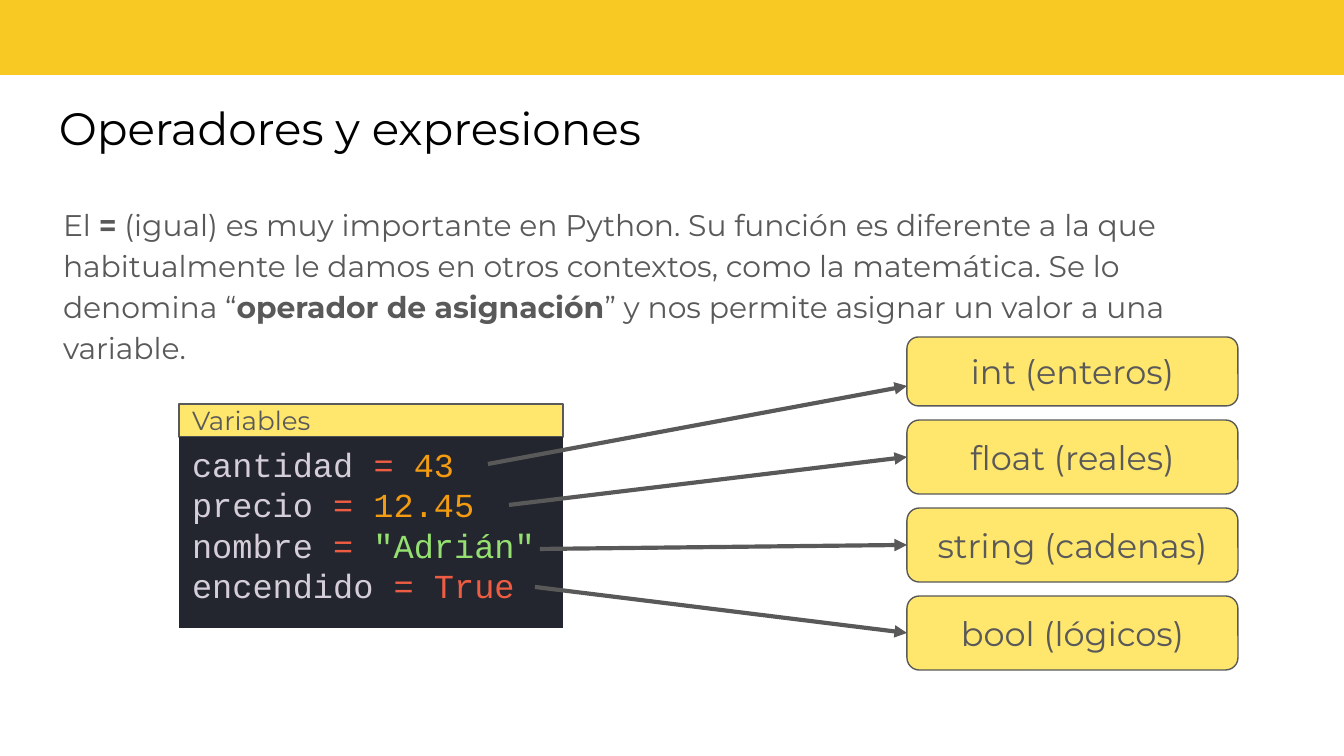
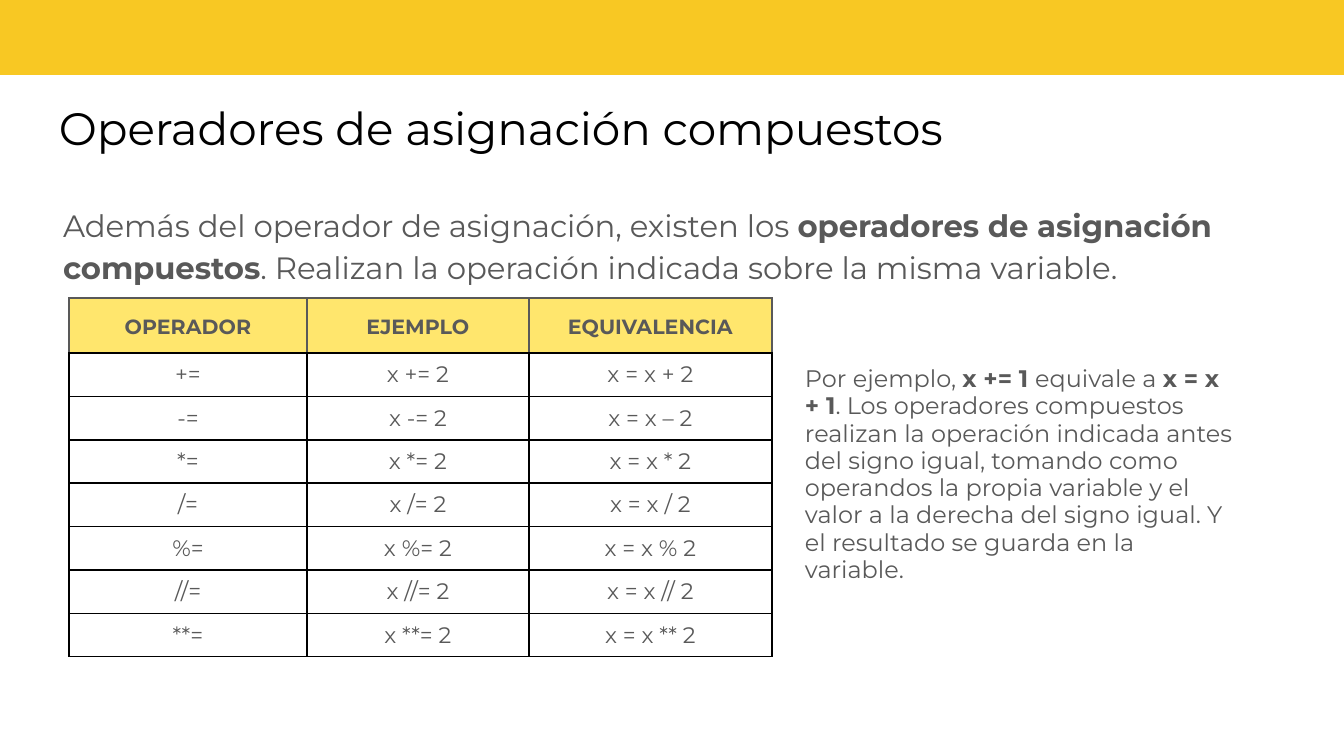
from pptx import Presentation
from pptx.dml.color import RGBColor
from pptx.enum.shapes import MSO_CONNECTOR, MSO_SHAPE
from pptx.enum.text import MSO_ANCHOR, MSO_AUTO_SIZE, PP_ALIGN
from pptx.oxml import parse_xml
from pptx.oxml.ns import nsdecls
from pptx.util import Pt

EMU_PER_PX = 914400 / 134.4
SLIDE_SIZE = (1344, 756)
BAND = (-1, -7, 1348, 82)
TITLE = (46, 87, 1250, 85)
LEFT_SITE = 1

COLORS = {
    "band": "F8C823", "header": "FFE66D", "text": "595959", "title": "000000",
    "border": "000000", "cell": "FFFFFF", "editor": "23262E", "name": "D5CED9",
    "operator": "EE5D43", "number": "F39C12", "string": "96E072",
}
BODY_FONT = "Montserrat"
CODE_FONT = "Courier New"

# Text is a list of paragraphs, each a list of (text, color, bold) runs.


def plain(text):
    return (text, "text", False)


def bold(text):
    return (text, "text", True)


ASSIGNMENT_TITLE = "Operadores y expresiones"
ASSIGNMENT_INTRO = [[
    plain("El "), bold("="),
    plain(" (igual) es muy importante en Python. Su función es diferente a la que "
          "habitualmente le damos en otros contextos, como la matemática. Se lo denomina “"),
    bold("operador de asignación"),
    plain("” y nos permite asignar un valor a una variable."),
]]
# variable, value, value color, arrow start, type, joined to the middle of the type box
VARIABLES = [
    ("cantidad", "43", "number", (488, 464), "int (enteros)", False),
    ("precio", "12.45", "number", (509, 505), "float (reales)", True),
    ("nombre", '"Adrián"', "string", (540, 549), "string (cadenas)", True),
    ("encendido", "True", "operator", (535, 587), "bool (lógicos)", True),
]
INT_ARROW_END = (907, 386)

COMPOUND_TITLE = "Operadores de asignación compuestos"
COMPOUND_INTRO = [[
    plain("Además del operador de asignación, existen los "),
    bold("operadores de asignación compuestos"),
    plain(". Realizan la operación indicada sobre la misma variable."),
]]
COMPOUND_NOTE = [[
    plain("Por ejemplo, "), bold("x += 1 "), plain("equivale a "), bold("x = x + 1"),
    plain(". Los operadores compuestos realizan la operación indicada antes del signo "
          "igual, tomando como operandos la propia variable y el valor a la derecha del "
          "signo igual. Y el resultado se guarda en la variable."),
]]
OPERATOR_ROWS = [
    ("OPERADOR", "EJEMPLO", "EQUIVALENCIA"),
    ("+=", "x += 2", "x = x + 2"),
    ("-=", "x -= 2", "x = x – 2"),
    ("*=", "x *= 2", "x = x * 2"),
    ("/=", "x /= 2", "x = x / 2"),
    ("%=", "x %= 2", "x = x % 2"),
    ("//=", "x //= 2", "x = x // 2"),
    ("**=", "x **= 2", "x = x ** 2"),
]
COLUMN_WIDTHS = (238, 222, 243)
HEADER_HEIGHT = 55
BODY_HEIGHT = 304


def px(value):
    return round(value * EMU_PER_PX)


def emu_box(box):
    return [px(value) for value in box]


def rgb(color):
    return RGBColor.from_string(COLORS[color])


def set_margins(target, horizontal, vertical):
    target.margin_left = target.margin_right = px(horizontal)
    target.margin_top = target.margin_bottom = px(vertical)


def write(frame, paragraphs, size, font=BODY_FONT, align=PP_ALIGN.LEFT, spacing=None):
    for index, runs in enumerate(paragraphs):
        paragraph = frame.add_paragraph() if index else frame.paragraphs[0]
        paragraph.alignment = align
        if spacing:
            paragraph.line_spacing = spacing
        for text, color, is_bold in runs:
            run = paragraph.add_run()
            run.text = text
            run.font.name = font
            run.font.size = Pt(size)
            run.font.bold = is_bold
            run.font.color.rgb = rgb(color)


def add_text(slide, box, paragraphs, size, spacing):
    frame = slide.shapes.add_textbox(*emu_box(box)).text_frame
    frame.word_wrap = True
    set_margins(frame, 0, 13)
    write(frame, paragraphs, size, spacing=spacing)


def add_panel(slide, kind, box, fill, line=None):
    shape = slide.shapes.add_shape(kind, *emu_box(box))
    shape.shadow.inherit = False
    shape.fill.solid()
    shape.fill.fore_color.rgb = rgb(fill)
    if line:
        shape.line.color.rgb = rgb(line)
        shape.line.width = Pt(0.75)
    else:
        shape.line.fill.background()
    frame = shape.text_frame
    frame.word_wrap = True
    frame.vertical_anchor = MSO_ANCHOR.MIDDLE
    set_margins(frame, 13, 7)
    return shape


def add_arrow(slide, start, end):
    arrow = slide.shapes.add_connector(MSO_CONNECTOR.STRAIGHT, *emu_box(start + end))
    arrow.line.color.rgb = rgb("text")
    arrow.line.width = Pt(2.25)
    arrow.line._get_or_add_ln().append(
        parse_xml(f'<a:tailEnd {nsdecls("a")} type="triangle"/>'))
    arrow.element.spPr.append(parse_xml(f'<a:effectLst {nsdecls("a")}/>'))
    return arrow


def add_titled_slide(presentation, layout, title):
    slide = presentation.slides.add_slide(layout)
    placeholder = slide.shapes.title
    placeholder.left, placeholder.top, placeholder.width, placeholder.height = emu_box(TITLE)
    frame = placeholder.text_frame
    frame.word_wrap = True
    frame.auto_size = MSO_AUTO_SIZE.NONE
    frame.vertical_anchor = MSO_ANCHOR.TOP
    set_margins(frame, 13, 13)
    write(frame, [[(title, "title", False)]], 24.3)
    return slide


def move_band_to_layout(slide, layout):
    """Draw the top band and hand it to the layout, so every slide shows it."""
    band = add_panel(slide, MSO_SHAPE.RECTANGLE, BAND, "band")
    band.element.nvSpPr.cNvPr.set("id", "20")
    layout.shapes.element.append(band.element)


def set_border(cell, side, color, width):
    cell._tc.get_or_add_tcPr().append(parse_xml(
        f'<a:ln{side} {nsdecls("a")} w="{Pt(width)}"><a:solidFill>'
        f'<a:srgbClr val="{COLORS[color]}"/></a:solidFill></a:ln{side}>'))


def style_cell(cell, text, is_header):
    cell.vertical_anchor = MSO_ANCHOR.MIDDLE
    set_margins(cell, *((16, 8) if is_header else (13, 7)))
    for side in "LRTB":
        if is_header and side != "B":
            set_border(cell, side, "text", 0.75)
        else:
            set_border(cell, side, "border", 0.96)
    cell.fill.solid()
    cell.fill.fore_color.rgb = rgb("header" if is_header else "cell")
    write(cell.text_frame, [[(text, "text", is_header)]], 11 if is_header else 12,
          align=PP_ALIGN.CENTER, spacing=1.15 if is_header else None)


def add_operator_table(slide, left, top):
    box = (left, top, sum(COLUMN_WIDTHS), HEADER_HEIGHT + BODY_HEIGHT)
    table = slide.shapes.add_table(
        len(OPERATOR_ROWS), len(COLUMN_WIDTHS), *emu_box(box)).table
    table.horz_banding = False
    for column, width in zip(table.columns, COLUMN_WIDTHS):
        column.width = px(width)
    body_row_height = px(BODY_HEIGHT / (len(OPERATOR_ROWS) - 1))
    for row_index, texts in enumerate(OPERATOR_ROWS):
        is_header = row_index == 0
        table.rows[row_index].height = px(HEADER_HEIGHT) if is_header else body_row_height
        for column_index, text in enumerate(texts):
            style_cell(table.cell(row_index, column_index), text, is_header)


def build_assignment(slide):
    add_text(slide, (63, 188, 1216, 481), ASSIGNMENT_INTRO, 16, 1.15)

    heading = add_panel(slide, MSO_SHAPE.RECTANGLE, (179, 404, 384, 33), "header", "text")
    write(heading.text_frame, [[plain("Variables")]], 14)

    editor = add_panel(slide, MSO_SHAPE.RECTANGLE, (179, 437, 384, 191), "editor")
    editor.text_frame.vertical_anchor = MSO_ANCHOR.TOP
    code = [
        [(name + " ", "name", False), ("=", "operator", False),
         (" ", "name", False), (value, color, False)]
        for name, value, color, *_ in VARIABLES
    ]
    write(editor.text_frame, code, 18, CODE_FONT)

    for index, (_, _, _, start, type_name, joined) in enumerate(VARIABLES):
        # The first box is a little shorter; the others follow an even pitch.
        top, height = (332 + 88 * index, 74) if index else (337, 69)
        type_box = add_panel(slide, MSO_SHAPE.FLOWCHART_ALTERNATE_PROCESS,
                             (907, top, 331, height), "header", "text")
        write(type_box.text_frame, [[plain(type_name)]], 18, align=PP_ALIGN.CENTER)
        arrow = add_arrow(slide, start, INT_ARROW_END)
        if joined:
            arrow.end_connect(type_box, LEFT_SITE)


def build_compound(slide):
    add_text(slide, (63, 188, 1216, 110), COMPOUND_INTRO, 16.5, 1.15)
    add_operator_table(slide, 69, 298)
    add_text(slide, (805, 353, 430, 265), COMPOUND_NOTE, 12.8, 0.95)


def main():
    presentation = Presentation()
    presentation.slide_width, presentation.slide_height = emu_box(SLIDE_SIZE)
    layout = presentation.slide_layouts.get_by_name("Title Only")
    assignment = add_titled_slide(presentation, layout, ASSIGNMENT_TITLE)
    move_band_to_layout(assignment, layout)
    build_assignment(assignment)
    build_compound(add_titled_slide(presentation, layout, COMPOUND_TITLE))
    presentation.save("out.pptx")


if __name__ == "__main__":
    main()
